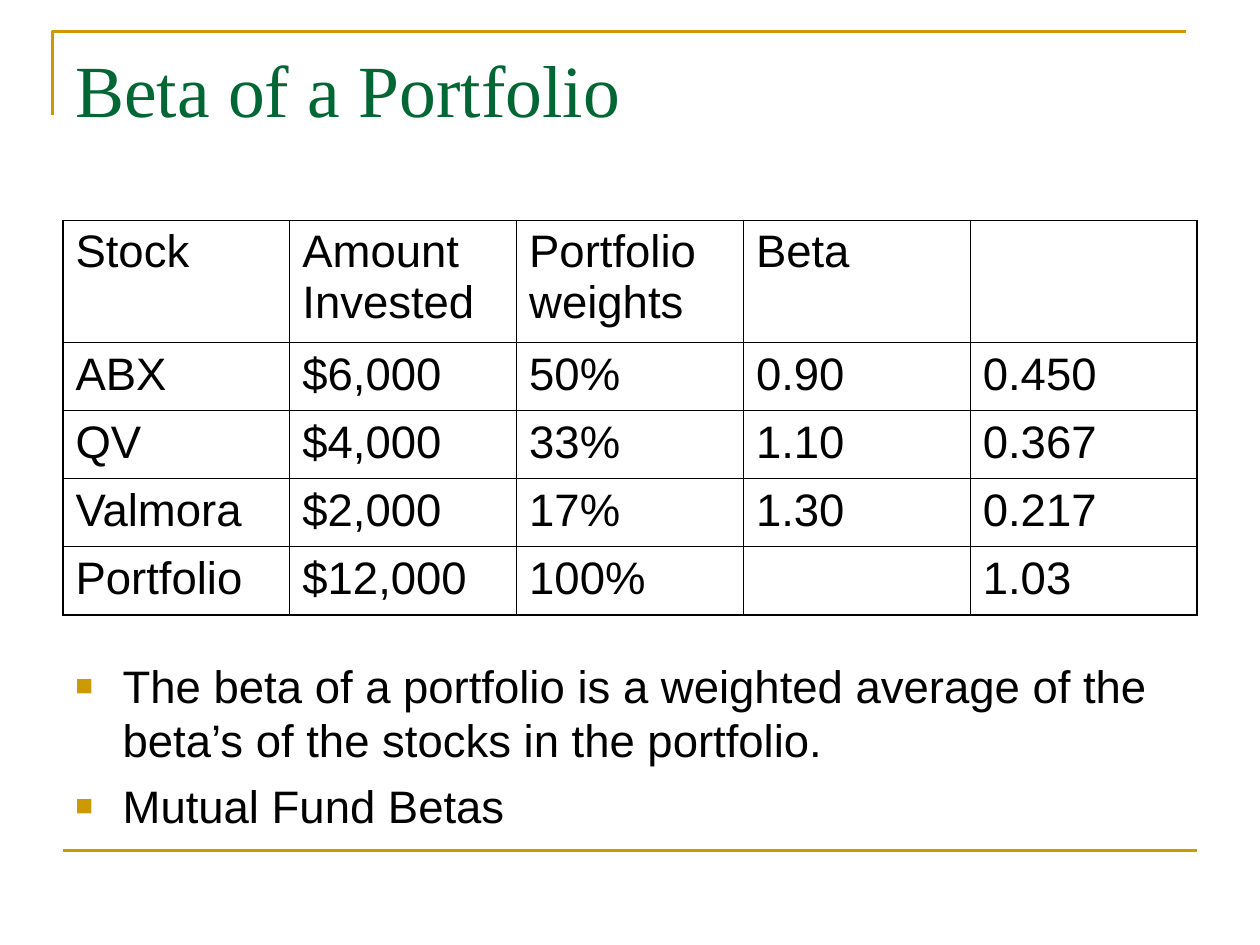
from lxml.etree import SubElement
from pptx import Presentation
from pptx.dml.color import RGBColor
from pptx.enum.shapes import MSO_CONNECTOR as Connector
from pptx.oxml.ns import qn
from pptx.util import Pt

TITLE = "Beta of a Portfolio"
ROWS = [
    ("Stock", "Amount Invested", "Portfolio weights", "Beta", ""),
    ("ABX", "$6,000", "50%", "0.90", "0.450"),
    ("QV", "$4,000", "33%", "1.10", "0.367"),
    ("Valmora", "$2,000", "17%", "1.30", "0.217"),
    ("Portfolio", "$12,000", "100%", "", "1.03"),
]
BULLETS = [
    "The beta of a portfolio is a weighted average of the beta’s of the stocks in the portfolio.",
    "Mutual Fund Betas",
]
GOLD, GREEN, BLACK = "CC9900", "006633", "000000"
LEFT, WIDTH = 36, 648
HEADER_H, ROW_H = 69.84, 38.88
OUTER, INNER = 1.08, 0.45


def color(value):
    return RGBColor.from_string(value)


def write(p, text, size=26, font="Arial", fill=BLACK, before=6.5):
    p.space_before = Pt(before)
    r = p.add_run()
    r.text = text
    r.font.size, r.font.name = Pt(size), font
    r.font.color.rgb = color(fill)


def add_text_frame(slide, top, height):
    tf = slide.shapes.add_textbox(Pt(LEFT), Pt(top), Pt(WIDTH), Pt(height)).text_frame
    tf.word_wrap = True
    return tf


def add_bullet(p):
    pPr = p._p.get_or_add_pPr()
    pPr.set("marL", str(Pt(27)))
    pPr.set("indent", str(Pt(-27)))
    SubElement(SubElement(pPr, qn("a:buClr")), qn("a:srgbClr"), val=GOLD)
    SubElement(pPr, qn("a:buSzPct"), val="65000")
    SubElement(pPr, qn("a:buFont"), typeface="Arial")
    SubElement(pPr, qn("a:buChar"), char="■")


def set_borders(cell, widths):
    tcPr = cell._tc.get_or_add_tcPr()
    for side, width in widths.items():
        ln = SubElement(tcPr, qn(f"a:ln{side}"), w=str(Pt(width)))
        SubElement(SubElement(ln, qn("a:solidFill")), qn("a:srgbClr"), val=BLACK)


def style_line(sp):
    sp.line.color.rgb = color(GOLD)
    sp.line.width = Pt(1.5)


prs = Presentation()
prs.slide_width, prs.slide_height = Pt(720), Pt(540)
slide = prs.slides.add_slide(prs.slide_layouts[6])

# Corner rule around the title
corner = slide.shapes.build_freeform(Pt(30), Pt(66))
corner.add_line_segments([(Pt(30), Pt(18)), (Pt(678), Pt(18))], close=False)
sp = corner.convert_to_shape()
sp.shadow.inherit = False
sp.fill.background()
style_line(sp)

# Bottom rule
rule = slide.shapes.add_connector(
    Connector.STRAIGHT, Pt(LEFT), Pt(486), Pt(LEFT + WIDTH), Pt(486))
SubElement(rule._element.spPr, qn("a:effectLst"))
style_line(rule)
rule_effects = rule._element.spPr.find(qn("a:effectLst"))
rule._element.spPr.append(rule_effects)

# Title
tf = add_text_frame(slide, 21.6, 90)
write(tf.paragraphs[0], TITLE, size=42, font="Times New Roman", fill=GREEN, before=0)

# Table
n_rows, n_cols = len(ROWS), len(ROWS[0])
heights = [HEADER_H] + [ROW_H] * (n_rows - 1)
table = slide.shapes.add_table(
    n_rows, n_cols, Pt(LEFT), Pt(126), Pt(WIDTH), Pt(sum(heights))).table
table.first_row = table.horz_banding = False
for column in table.columns:
    column.width = Pt(WIDTH / n_cols)
for i, (values, height) in enumerate(zip(ROWS, heights)):
    table.rows[i].height = Pt(height)
    for j, text in enumerate(values):
        cell = table.cell(i, j)
        edges = {"L": j == 0, "R": j == n_cols - 1, "T": i == 0, "B": i == n_rows - 1}
        set_borders(cell, {side: OUTER if edge else INNER for side, edge in edges.items()})
        cell.fill.background()
        if text:
            write(cell.text_frame.paragraphs[0], text)

# Bullets
tf = add_text_frame(slide, 372.24, 110.88)
for i, text in enumerate(BULLETS):
    p = tf.add_paragraph() if i else tf.paragraphs[0]
    write(p, text)
    add_bullet(p)

prs.save("out.pptx")
